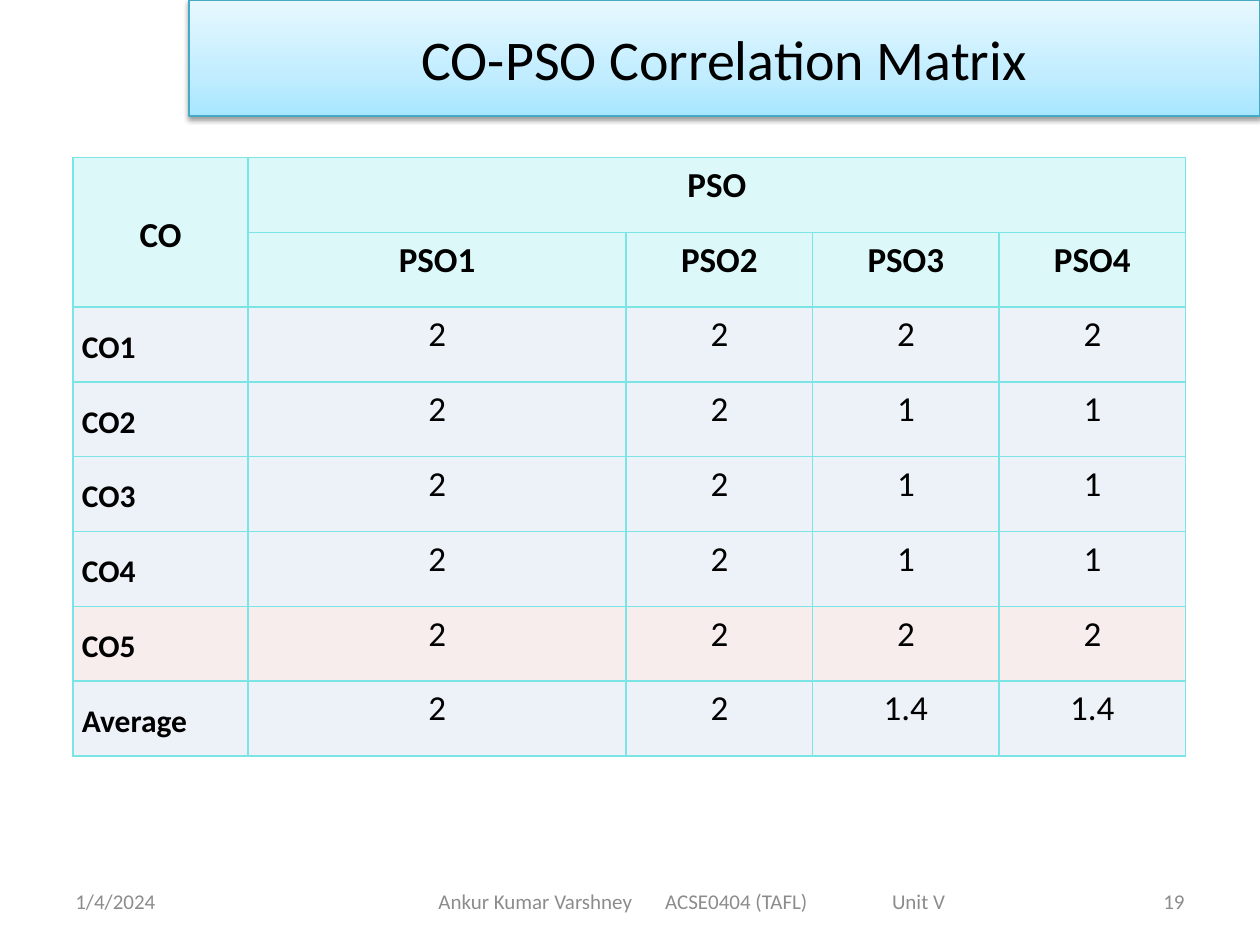
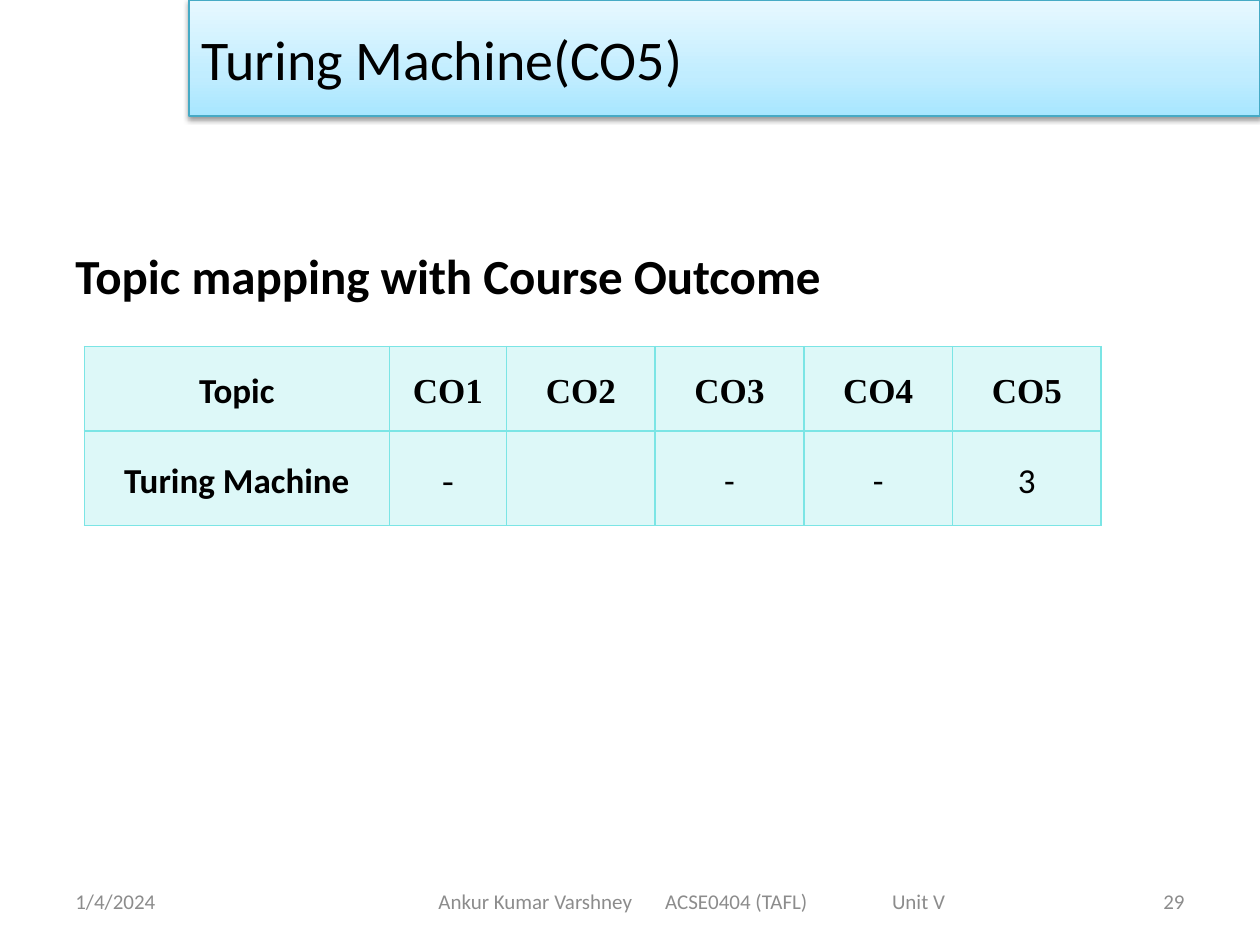
"""Build two course-outcome slides: a correlation matrix and a topic mapping."""
from copy import deepcopy
from dataclasses import dataclass

from lxml import etree
from pptx import Presentation
from pptx import util as u
from pptx.dml import color
from pptx.enum import text as t
from pptx.oxml import ns

BODY_FONT = "Calibri"
SERIF_FONT = "Times New Roman"
BLACK = color.RGBColor(0x00, 0x00, 0x00)
FOOTER_GREY = color.RGBColor(0x8C, 0x8C, 0x8C)
BAND_LINE = color.RGBColor(0x46, 0xAA, 0xC5)
AQUA = color.RGBColor(0x7B, 0xE5, 0xE5)
PALE_BLUE = color.RGBColor(0xB9, 0xCD, 0xE5)
PALE_RED = color.RGBColor(0xE6, 0xB9, 0xB8)
BAND_STOPS = (
    (0, color.RGBColor(0xA7, 0xE6, 0xFF)),
    (0.35, color.RGBColor(0xC1, 0xED, 0xFF)),
    (1, color.RGBColor(0xE7, 0xF8, 0xFF)),
)
LEFT, CENTER, RIGHT = t.PP_ALIGN.LEFT, t.PP_ALIGN.CENTER, t.PP_ALIGN.RIGHT
TOP, MIDDLE = t.MSO_ANCHOR.TOP, t.MSO_ANCHOR.MIDDLE

FOOTER_DATE = "1/4/2024"
FOOTER_PARTS = ("Ankur Kumar Varshney", "ACSE0404 (TAFL)", "Unit V")
FOOTER_TAB = 1.8
OUTCOMES = {
    "CO1": "2 2 2 2",
    "CO2": "2 2 1 1",
    "CO3": "2 2 1 1",
    "CO4": "2 2 1 1",
    "CO5": "2 2 2 2",
    "Average": "2 2 1.4 1.4",
}


@dataclass
class TextStyle:
    """Look of one run and its paragraph."""

    size: float
    bold: bool = False
    font: str = BODY_FONT
    ink: color.RGBColor = BLACK
    align: t.PP_ALIGN = LEFT
    anchor: t.MSO_ANCHOR = MIDDLE


@dataclass
class TableCell:
    """Text, style and tint of one table cell."""

    words: str
    style: TextStyle
    tint: color.RGBColor = AQUA


@dataclass
class TableGrid:
    """Place and track sizes of a table, in inches."""

    left: float
    top: float
    columns: list[float]
    rows: list[float]


HEADER = TextStyle(20, True, align=CENTER)
HEADER_TOP = TextStyle(20, True, align=CENTER, anchor=TOP)
HEADER_SERIF = TextStyle(20, True, SERIF_FONT, align=CENTER)
ROW_LABEL = TextStyle(18, True)
SCORE = TextStyle(20, align=CENTER, anchor=TOP)
MAPPING = TextStyle(20, align=CENTER)
MAPPING_SERIF = TextStyle(20, font=SERIF_FONT, align=CENTER)


def write(frame, words: str, style: TextStyle):
    """Write one styled run into the first paragraph of a text frame."""
    paragraph = frame.paragraphs[0]
    paragraph.alignment = style.align
    if words:
        run = paragraph.add_run()
        run.text = words
        run.font.size = u.Pt(style.size)
        run.font.bold = style.bold
        run.font.name = style.font
        run.font.color.rgb = style.ink
    return paragraph


def add_text(slide, left: float, top: float, width: float, height: float,
             words: str, style: TextStyle):
    """Add a wrapped text box and return its shape."""
    shape = slide.shapes.add_textbox(*map(u.Inches, (left, top, width, height)))
    shape.text_frame.word_wrap = True
    shape.text_frame.vertical_anchor = style.anchor
    write(shape.text_frame, words, style)
    return shape


def format_title(shape, words: str, align: t.PP_ALIGN) -> None:
    """Turn the title placeholder into the shaded band."""
    shape.left, shape.top = u.Inches(1.5), u.Inches(0)
    shape.width, shape.height = u.Inches(8.5), u.Inches(0.92)
    shape.fill.gradient()
    shape.fill.gradient_angle = 90
    properties = shape._element.spPr
    stop_list = properties.find(".//" + ns.qn("a:gsLst"))
    stop_list.append(deepcopy(stop_list[0]))
    for stop, (position, tone) in zip(shape.fill.gradient_stops, BAND_STOPS):
        stop.position = position
        stop.color.rgb = tone
    shape.line.color.rgb = BAND_LINE
    shape.line.width = u.Pt(0.75)
    effects = etree.SubElement(properties, ns.qn("a:effectLst"))
    shadow = etree.SubElement(
        effects, ns.qn("a:outerShdw"), blurRad=str(u.Pt(3.1)),
        dist=str(u.Pt(1.6)), dir="5400000", rotWithShape="0")
    tone = etree.SubElement(shadow, ns.qn("a:srgbClr"), val=str(BLACK))
    etree.SubElement(tone, ns.qn("a:alpha"), val="38000")
    frame = shape.text_frame
    frame.auto_size = t.MSO_AUTO_SIZE.NONE
    frame.word_wrap = True
    frame.vertical_anchor = MIDDLE
    write(frame, words, TextStyle(32, align=align))


def add_footer(slide, number: int) -> None:
    """Add the date, the tabbed course line and the slide number."""
    style = TextStyle(12, ink=FOOTER_GREY)
    add_text(slide, 0.5, 6.95, 2.33, 0.4, FOOTER_DATE, style)
    course = add_text(slide, 2.75, 6.95, 5.5, 0.4, "\t".join(FOOTER_PARTS), style)
    course.text_frame.margin_left = u.Inches(0.73)
    properties = course.text_frame.paragraphs[0]._p.get_or_add_pPr()
    tabs = etree.SubElement(properties, ns.qn("a:tabLst"))
    for index in range(1, len(FOOTER_PARTS)):
        etree.SubElement(tabs, ns.qn("a:tab"),
                         pos=str(u.Inches(FOOTER_TAB * index)), algn="l")
    add_text(slide, 7.17, 6.95, 2.33, 0.4, str(number),
             TextStyle(12, ink=FOOTER_GREY, align=RIGHT))


def add_slide(presentation, title: str, align: t.PP_ALIGN, number: int):
    """Add a title-only slide with its band and footer."""
    slide = presentation.slides.add_slide(presentation.slide_layouts[5])
    format_title(slide.shapes.title, title, align)
    add_footer(slide, number)
    return slide


def format_cell(cell, content: TableCell) -> None:
    """Apply text, translucent tint and borders to a table cell."""
    cell.margin_left = cell.margin_right = u.Inches(0.07)
    cell.margin_top = cell.margin_bottom = 0
    cell.vertical_anchor = content.style.anchor
    write(cell.text_frame, content.words, content.style).line_spacing = 1.15
    cell.fill.solid()
    cell.fill.fore_color.rgb = content.tint
    properties = cell._tc.get_or_add_tcPr()
    tint = properties.find(".//" + ns.qn("a:srgbClr"))
    etree.SubElement(tint, ns.qn("a:alpha"), val="25000")
    for index, side in enumerate("LRTB"):
        border = etree.Element(ns.qn(f"a:ln{side}"), w=str(u.Pt(1)))
        fill = etree.SubElement(border, ns.qn("a:solidFill"))
        etree.SubElement(fill, ns.qn("a:srgbClr"), val=str(AQUA))
        properties.insert(index, border)


def add_grid(slide, grid: TableGrid, contents: list[list[TableCell]]):
    """Add a table filled with the given cells and return it."""
    table = slide.shapes.add_table(
        len(grid.rows), len(grid.columns), u.Inches(grid.left), u.Inches(grid.top),
        u.Inches(sum(grid.columns)), u.Inches(sum(grid.rows))).table
    table.first_row = table.horz_banding = False
    for column, width in zip(table.columns, grid.columns):
        column.width = u.Inches(width)
    for row, height, row_contents in zip(table.rows, grid.rows, contents):
        row.height = u.Inches(height)
        for cell, content in zip(row.cells, row_contents):
            format_cell(cell, content)
    return table


def build_correlation_matrix(presentation) -> None:
    """Build the slide that scores outcomes against PSOs."""
    slide = add_slide(presentation, "CO-PSO Correlation Matrix", CENTER, 19)
    blank = TableCell("", HEADER_TOP)
    contents = [
        [TableCell("CO", HEADER), TableCell("PSO", HEADER_TOP)] + [blank] * 3,
        [blank] + [TableCell(f"PSO{n}", HEADER_TOP) for n in range(1, 5)],
    ]
    for outcome, scores in OUTCOMES.items():
        tint = PALE_RED if outcome == "CO5" else PALE_BLUE
        contents.append([TableCell(outcome, ROW_LABEL, tint)]
                        + [TableCell(score, SCORE, tint) for score in scores.split()])
    grid = TableGrid(0.58, 1.25, [1.39, 3] + [1.48] * 3, [4.75 / 8] * 8)
    table = add_grid(slide, grid, contents)
    table.cell(0, 0).merge(table.cell(1, 0))
    table.cell(0, 1).merge(table.cell(0, 4))


def build_topic_mapping(presentation) -> None:
    """Build the slide that maps the topic to course outcomes."""
    slide = add_slide(presentation, "Turing Machine(CO5)", LEFT, 29)
    add_text(slide, 0.5, 1.9, 9, 0.6, "Topic mapping with Course Outcome",
             TextStyle(28, True, anchor=TOP))
    contents = [
        [TableCell("Topic", HEADER)]
        + [TableCell(f"CO{n}", HEADER_SERIF) for n in range(1, 6)],
        [TableCell("Turing Machine", HEADER), TableCell("-", MAPPING_SERIF)]
        + [TableCell(level, MAPPING) for level in ("", "-", "-", "3")],
    ]
    grid = TableGrid(0.67, 2.75, [2.42, 0.93] + [1.18] * 4, [0.67, 0.75])
    add_grid(slide, grid, contents)


def main() -> None:
    """Build and save the presentation."""
    presentation = Presentation()
    presentation.slide_width = u.Inches(10)
    presentation.slide_height = u.Inches(7.5)
    build_correlation_matrix(presentation)
    build_topic_mapping(presentation)
    presentation.save("out.pptx")


if __name__ == "__main__":
    main()
